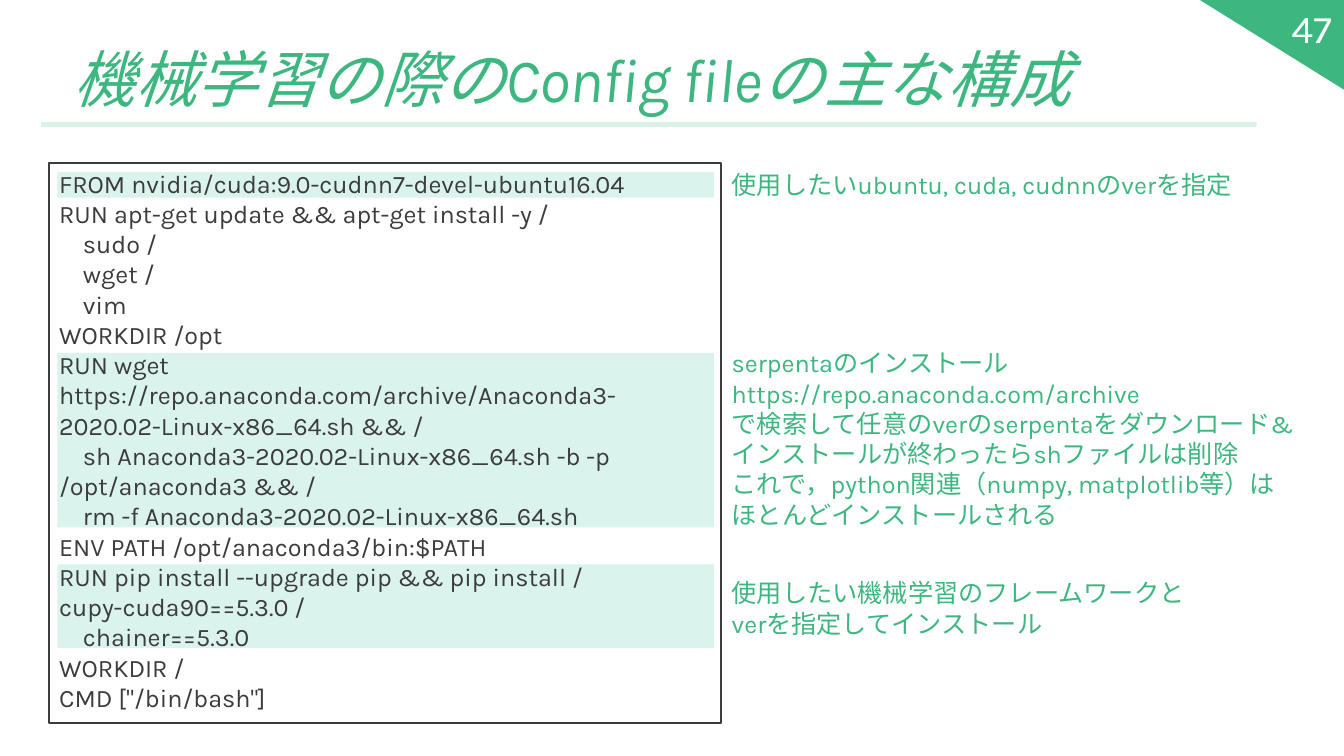
"""Build a slide explaining the main parts of a container build file for machine learning."""
from pptx import Presentation
from pptx.dml.color import RGBColor
from pptx.enum.shapes import MSO_SHAPE
from pptx.enum.text import MSO_ANCHOR, MSO_AUTO_SIZE, PP_ALIGN
from pptx.util import Cm, Pt

GREEN, PALE_GREEN, MINT, DARK, WHITE = "3DB680", "D7F2E6", "DAF3ED", "3C3C3C", "FFFFFF"


def add_block(kind, left, top, width, height, fill=None):
    shape = slide.shapes.add_shape(kind, Cm(left), Cm(top), Cm(width), Cm(height))
    shape.shadow.inherit = False
    shape.line.fill.background()
    if fill:
        shape.fill.solid()
        shape.fill.fore_color.rgb = RGBColor.from_string(fill)
    else:
        shape.fill.background()
    return shape


def write_text(shape, text, size, color, align=PP_ALIGN.LEFT, anchor=MSO_ANCHOR.TOP):
    frame = shape.text_frame
    frame.text = text
    frame.word_wrap = True
    frame.auto_size = MSO_AUTO_SIZE.NONE
    frame.vertical_anchor = anchor
    for paragraph in frame.paragraphs:
        paragraph.alignment = align
        for run in paragraph.runs:
            run.font.size = Pt(size)
            run.font.name = "Karla"
            run.font.color.rgb = RGBColor.from_string(color)


presentation = Presentation()
presentation.slide_width, presentation.slide_height = Cm(33.87), Cm(19.05)
slide = presentation.slides.add_slide(presentation.slide_layouts[5])

corner = add_block(MSO_SHAPE.RIGHT_TRIANGLE, 30.24, 0, 3.63, 2.26, GREEN)
corner.rotation = 180
add_block(MSO_SHAPE.RECTANGLE, 1.04, 3.07, 30.63, 0.13, PALE_GREEN)

for top, height in [(14.22, 2.11), (8.89, 4.4), (4.34, 0.64)]:
    add_block(MSO_SHAPE.RECTANGLE, 1.45, top, 16.54, height, MINT)

title = slide.shapes.title
title.left, title.top, title.width, title.height = Cm(1.6), Cm(0.76), Cm(30.63), Cm(2.26)
write_text(title, "機械学習の際のConfig fileの主な構成", 44, GREEN, anchor=MSO_ANCHOR.BOTTOM)
title.text_frame.paragraphs[0].runs[0].font.italic = True

page_number = slide.shapes.add_textbox(Cm(29.03), Cm(0.2), Cm(4.78), Cm(1.02))
write_text(page_number, "47", 28, WHITE, PP_ALIGN.RIGHT, MSO_ANCHOR.MIDDLE)

notes = [
    (4.14, 14.94, 1.02, "使用したいubuntu, cuda, cudnnのverを指定"),
    (8.64, 14.94, 4.88, """serpentaのインストール
https://repo.anaconda.com/archive
で検索して任意のverのserpentaをダウンロード&インストールが終わったらshファイルは削除
これで，python関連（numpy, matplotlib等）は
ほとんどインストールされる"""),
    (14.43, 12.01, 1.8, "使用したい機械学習のフレームワークとverを指定してインストール"),
]
for top, width, height, text in notes:
    note = slide.shapes.add_textbox(Cm(18.19), Cm(top), Cm(width), Cm(height))
    write_text(note, text, 18, GREEN)

build_commands = """FROM nvidia/cuda:9.0-cudnn7-devel-ubuntu16.04
RUN apt-get update && apt-get install -y /
    sudo /
    wget /
    vim
WORKDIR /opt
RUN wget https://repo.anaconda.com/archive/Anaconda3-2020.02-Linux-x86_64.sh && /
    sh Anaconda3-2020.02-Linux-x86_64.sh -b -p /opt/anaconda3 && /
    rm -f Anaconda3-2020.02-Linux-x86_64.sh
ENV PATH /opt/anaconda3/bin:$PATH
RUN pip install --upgrade pip && pip install /
cupy-cuda90==5.3.0 /
    chainer==5.3.0
WORKDIR /
CMD ["/bin/bash"]"""
code_box = add_block(MSO_SHAPE.RECTANGLE, 1.24, 4.11, 16.94, 14.1)
code_box.line.color.rgb = RGBColor.from_string(DARK)
code_box.line.width = Pt(1.5)
write_text(code_box, build_commands, 18, DARK)

presentation.save("out.pptx")
